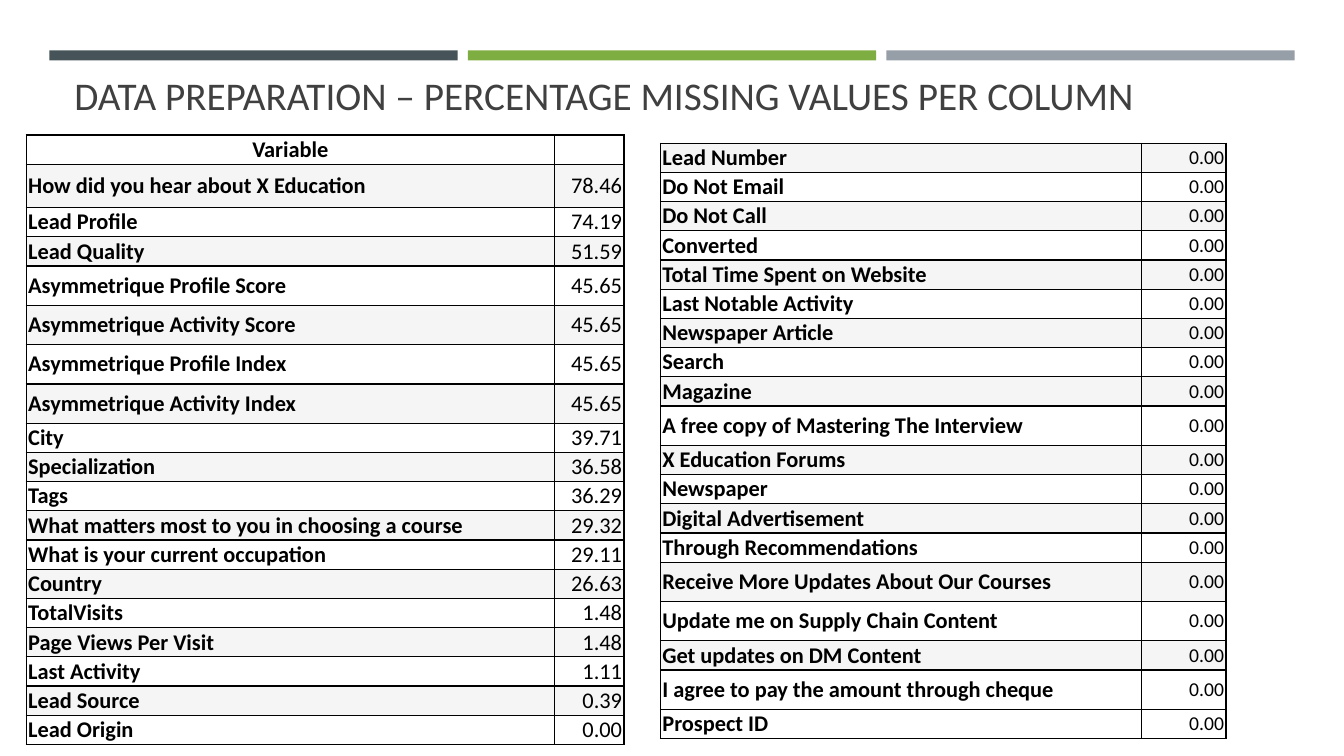
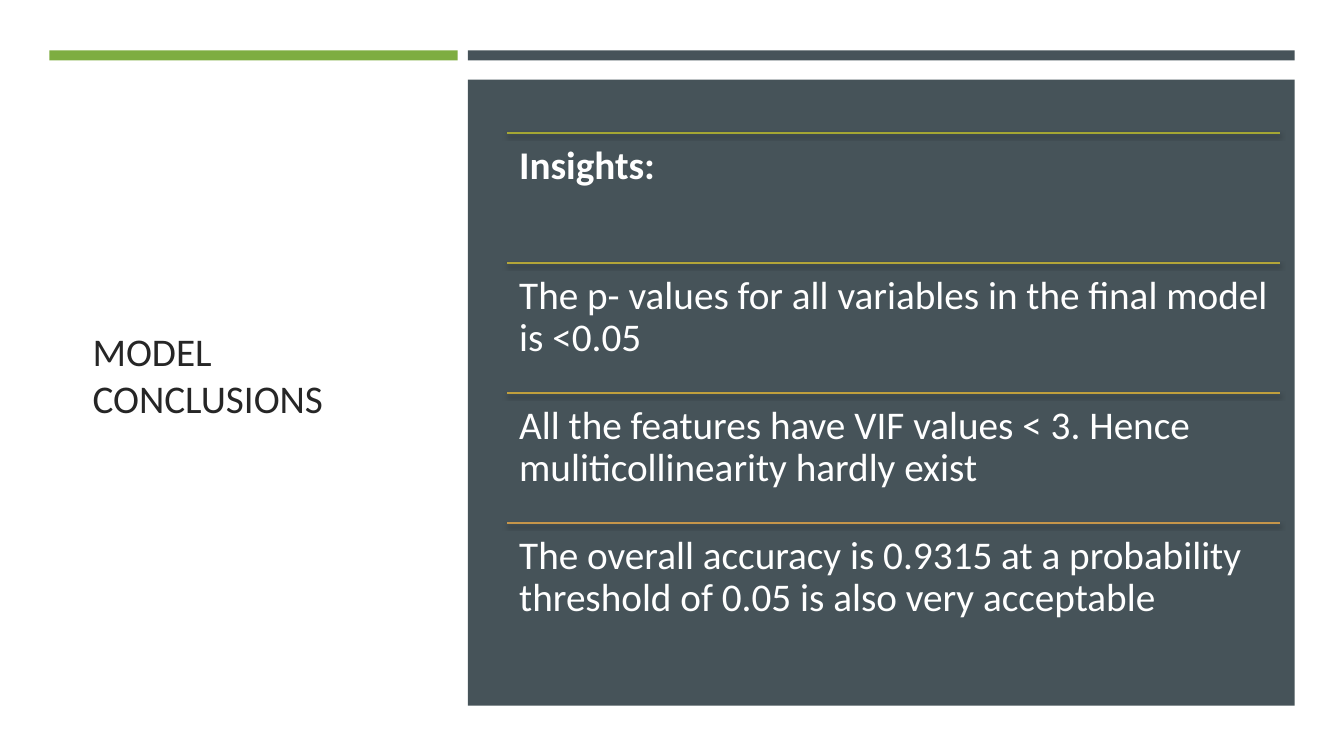
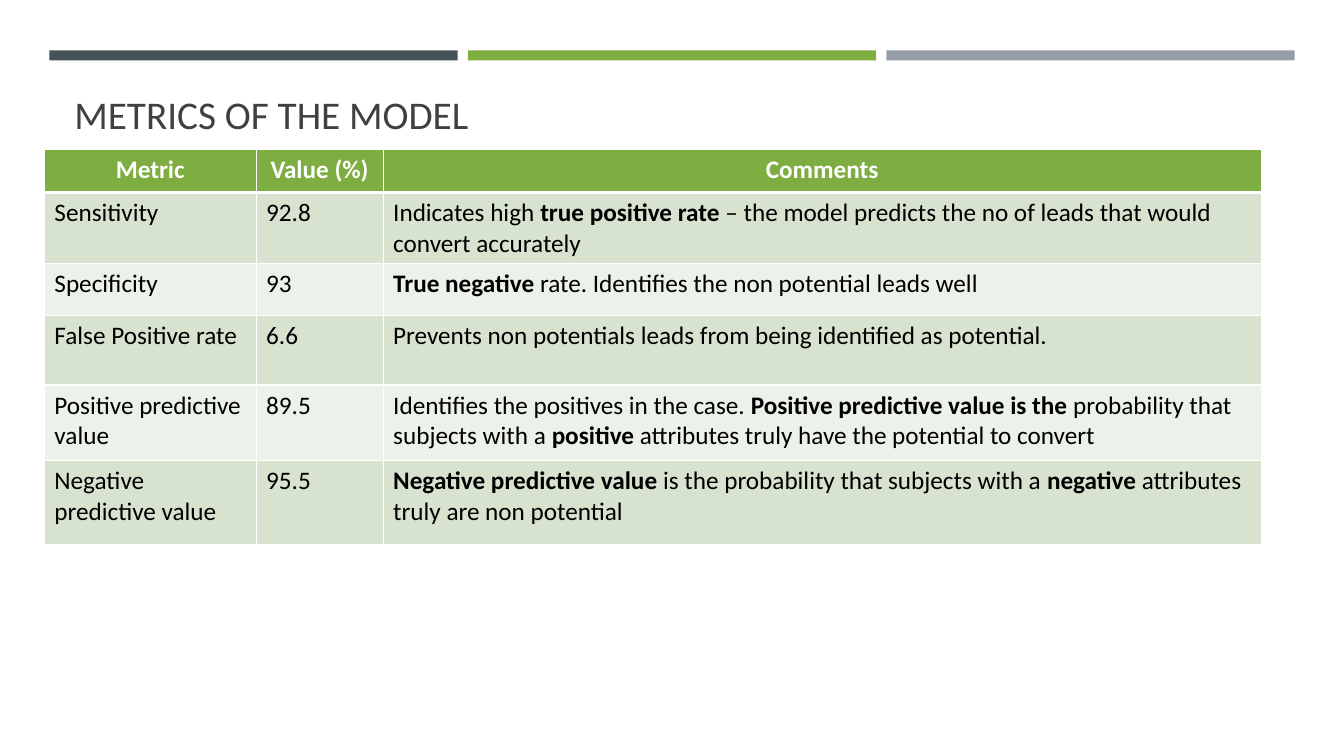
from dataclasses import dataclass
from typing import Sequence

from lxml import etree
from pptx import Presentation
from pptx.dml.color import RGBColor
from pptx.enum.shapes import MSO_CONNECTOR, MSO_SHAPE
from pptx.enum.text import MSO_ANCHOR, PP_ALIGN
from pptx.oxml.ns import qn
from pptx.util import Inches, Pt

LEFT, MID, RIGHT = PP_ALIGN.LEFT, PP_ALIGN.CENTER, PP_ALIGN.RIGHT
TOP, CENTER, BASE = MSO_ANCHOR.TOP, MSO_ANCHOR.MIDDLE, MSO_ANCHOR.BOTTOM
RECT, STRAIGHT = MSO_SHAPE.RECTANGLE, MSO_CONNECTOR.STRAIGHT

FONT = "Calibri"
HUES = {
    "slate": "465359", "green": "7EAD41", "gray": "969FA7",
    "white": "FFFFFF", "black": "000000", "title": "404040", "dark": "262626",
    "stripe": "F5F5F5", "sage": "D8E3CF", "mist": "ECF1E9",
}
RULES = ("A4A634", "B3A539", "C09F3D", "C5954A")

# Three-column grid shared by all slides
EDGE, COL, GAP = 0.49, 4.05, 0.1
BAR_Y, BAR_H = 0.5, 0.1


@dataclass(frozen=True)
class Box:
    x: float
    y: float
    w: float
    h: float

    def emu(self) -> list[int]:
        return [Inches(v) for v in (self.x, self.y, self.w, self.h)]


@dataclass(frozen=True)
class Style:
    size: float
    hue: str = "black"
    align: PP_ALIGN = LEFT
    anchor: MSO_ANCHOR = TOP
    pad: tuple[float, float] = (0.1, 0.05)
    space: float = 1.0


@dataclass(frozen=True)
class Cell:
    text: str
    style: Style
    fill: str = ""
    top: float = 1
    base: float = 1


def span(first: int, count: int, y: float, h: float) -> Box:
    """Box covering some columns of the grid."""
    step = COL + GAP
    return Box(EDGE + first * step, y, count * step - GAP, h)


def rgb(code: str) -> RGBColor:
    return RGBColor.from_string(code)


def write(frame, text: str, style: Style) -> None:
    """Fill a text frame; parts between asterisks are bold."""
    frame.word_wrap = True
    para = frame.paragraphs[0]
    para.alignment, para.line_spacing = style.align, style.space
    for i, part in enumerate(text.split("*")):
        if part:
            run = para.add_run()
            run.text = part
            font = run.font
            font.name, font.size, font.bold = FONT, Pt(style.size), i % 2 == 1
            font.color.rgb = rgb(HUES[style.hue])
    if not text:
        end = etree.SubElement(para._p, qn("a:endParaRPr"))
        end.set("sz", str(int(style.size * 100)))


def pad(host, style: Style) -> None:
    host.margin_left = host.margin_right = Inches(style.pad[0])
    host.margin_top = host.margin_bottom = Inches(style.pad[1])
    host.vertical_anchor = style.anchor


def label(slide, box: Box, text: str, style: Style) -> None:
    frame = slide.shapes.add_textbox(*box.emu()).text_frame
    pad(frame, style)
    write(frame, text, style)


def block(slide, box: Box, hue: str) -> None:
    shape = slide.shapes.add_shape(RECT, *box.emu())
    shape.shadow.inherit = False
    shape.fill.solid()
    shape.fill.fore_color.rgb = rgb(HUES[hue])
    shape.line.fill.background()


def rule(slide, x: float, y: float, w: float, code: str) -> None:
    """Thin line with a soft shadow below it."""
    line = slide.shapes.add_connector(
        STRAIGHT, Inches(x), Inches(y), Inches(x + w), Inches(y))
    line.line.color.rgb = rgb(code)
    line.line.width = Pt(1)
    effect = etree.SubElement(line._element.spPr, qn("a:effectLst"))
    shade = etree.SubElement(
        effect, qn("a:outerShdw"), blurRad=str(Pt(3)), dist=str(Pt(2)),
        dir="5400000", algn="ctr", rotWithShape="0")
    tint = etree.SubElement(shade, qn("a:srgbClr"), val=HUES["black"])
    etree.SubElement(tint, qn("a:alpha"), val="55000")


def border(cell, hue: str, top: float, base: float) -> None:
    props = cell._tc.get_or_add_tcPr()
    for side, width in zip("LRTB", (1, 1, top, base)):
        line = etree.SubElement(props, qn(f"a:ln{side}"), w=str(Pt(width)))
        fill = etree.SubElement(line, qn("a:solidFill"))
        etree.SubElement(fill, qn("a:srgbClr"), val=HUES[hue])


def grid(slide, x: float, y: float, cols: Sequence[float],
         rows: Sequence[float], cells: Sequence[Sequence[Cell]],
         edge: str) -> None:
    box = Box(x, y, sum(cols), sum(rows))
    table = slide.shapes.add_table(len(rows), len(cols), *box.emu()).table
    table.first_row = table.horz_banding = False
    for col, width in zip(table.columns, cols):
        col.width = Inches(width)
    for r, (height, line) in enumerate(zip(rows, cells)):
        table.rows[r].height = Inches(height)
        for c, item in enumerate(line):
            cell = table.cell(r, c)
            pad(cell, item.style)
            write(cell.text_frame, item.text, item.style)
            border(cell, edge, item.top, item.base)
            if item.fill:
                cell.fill.solid()
                cell.fill.fore_color.rgb = rgb(HUES[item.fill])
            else:
                cell.fill.background()


def start(deck, bars: Sequence[tuple[int, int, str]]):
    """Blank slide with its top bars."""
    slide = deck.slides.add_slide(deck.slide_layouts[6])
    for first, count, hue in bars:
        block(slide, span(first, count, BAR_Y, BAR_H), hue)
    return slide


TRIO = ((0, 1, "slate"), (1, 1, "green"), (2, 1, "gray"))
DUO = ((0, 1, "green"), (1, 2, "slate"))
HEAD = Style(28, "title", anchor=BASE)

# Missing values: name, share and, for taller rows, height
LOW, TALL = 0.29, 0.39
MISSING = (
    ("How did you hear about X Education", "78.46", 0.43),
    ("Lead Profile", "74.19", LOW),
    ("Lead Quality", "51.59", LOW),
    ("Asymmetrique Profile Score", "45.65", TALL),
    ("Asymmetrique Activity Score", "45.65", TALL),
    ("Asymmetrique Profile Index", "45.65", TALL),
    ("Asymmetrique Activity Index", "45.65", TALL),
    ("City", "39.71", LOW),
    ("Specialization", "36.58", LOW),
    ("Tags", "36.29", LOW),
    ("What matters most to you in choosing a course", "29.32", LOW),
    ("What is your current occupation", "29.11", LOW),
    ("Country", "26.63", LOW),
    ("TotalVisits", "1.48", LOW),
    ("Page Views Per Visit", "1.48", LOW),
    ("Last Activity", "1.11", LOW),
    ("Lead Source", "0.39", LOW),
    ("Lead Origin", "0.00", LOW),
)
FULL = (
    "Lead Number", "Do Not Email", "Do Not Call", "Converted",
    "Total Time Spent on Website", "Last Notable Activity",
    "Newspaper Article", "Search", "Magazine",
    "A free copy of Mastering The Interview", "X Education Forums",
    "Newspaper", "Digital Advertisement", "Through Recommendations",
    "Receive More Updates About Our Courses",
    "Update me on Supply Chain Content", "Get updates on DM Content",
    "I agree to pay the amount through cheque", "Prospect ID",
)
HIGH = (9, 14, 15, 17)

INSIGHTS = (
    "*Insights:*",
    "The p- values for all variables in the final model is <0.05",
    "All the features have VIF values < 3. Hence muliticollinearity hardly exist",
    "The overall accuracy is 0.9315 at a probability threshold of 0.05 "
    "is also very acceptable",
)

METRICS = (
    ("Sensitivity", "92.8",
     "Indicates high *true positive rate *– the model predicts the no of "
     "leads that would convert accurately"),
    ("Specificity", "93",
     "*True negative* rate. Identifies the non potential leads well"),
    ("False Positive rate", "6.6",
     "Prevents non potentials leads from being identified as potential."),
    ("Positive predictive value", "89.5",
     "Identifies the positives in the case. *Positive predictive value is "
     "the* probability that subjects with a *positive* attributes truly "
     "have the potential to convert"),
    ("Negative predictive value", "95.5",
     "*Negative predictive value* is the probability that subjects with a "
     "*negative* attributes truly are non potential"),
)


def missing(deck) -> None:
    slide = start(deck, TRIO)
    label(slide, Box(0.64, 0.54, 12.06, 0.68),
          "DATA PREPARATION – PERCENTAGE MISSING VALUES PER COLUMN", HEAD)
    tight = (0.02, 0.01)
    name = Style(16, anchor=CENTER, pad=tight)
    head = Style(16, align=MID, anchor=CENTER, pad=tight)
    big = Style(16, align=RIGHT, anchor=CENTER, pad=tight)
    small = Style(14, align=RIGHT, anchor=CENTER, pad=tight)

    def pair(text: str, value: str, style: Style, fill: str) -> list[Cell]:
        return [Cell(f"*{text}*", name, fill), Cell(value, style, fill)]

    # Left: columns with gaps
    cells = [[Cell("*Variable*", head), Cell("", big)]]
    cells += [pair(text, value, big, "" if i % 2 else "stripe")
              for i, (text, value, _) in enumerate(MISSING)]
    rows = [LOW] + [height for _, _, height in MISSING]
    grid(slide, 0.26, 1.34, (5.24, 0.69), rows, cells, "black")

    # Right: complete columns; the last row stays plain
    last = len(FULL) - 1
    cells = [pair(text, "0.00", small,
                  "" if i % 2 or i == last else "stripe")
             for i, text in enumerate(FULL)]
    rows = [TALL if i in HIGH else LOW for i in range(len(FULL))]
    grid(slide, 6.55, 1.42, (4.77, 0.84), rows, cells, "black")


def insights(deck) -> None:
    slide = start(deck, DUO)
    label(slide, Box(0.82, 1.14, 3.34, 5.15), "MODEL CONCLUSIONS",
          Style(28, "dark", anchor=CENTER))
    block(slide, span(1, 2, 0.79, 6.21), "slate")
    body = Style(28, "white", pad=(0.12, 0.12), space=0.9)
    x, y, w, step = 5.03, 1.32, 7.67, 1.29
    for i, (text, code) in enumerate(zip(INSIGHTS, RULES)):
        rule(slide, x, y + i * step, w, code)
        label(slide, Box(x, y + i * step, w, step), text, body)


def metrics(deck) -> None:
    slide = start(deck, TRIO)
    label(slide, Box(0.64, 0.77, 12.06, 0.64), "METRICS OF THE MODEL", HEAD)
    head, body = Style(18, "white", MID), Style(18)
    cells = [[Cell(f"*{text}*", head, "green", base=3)
              for text in ("Metric", "Value (%)", "Comments")]]
    for i, line in enumerate(METRICS):
        fill = "mist" if i % 2 else "sage"
        cells.append([Cell(text, body, fill, top=1 if i else 3)
                      for text in line])
    grid(slide, 0.44, 1.48, (2.1, 1.26, 8.71),
         (0.43, 0.7, 0.52, 0.69, 0.75, 0.83), cells, "white")


def main() -> None:
    deck = Presentation()
    deck.slide_width, deck.slide_height = Inches(13.33), Inches(7.5)
    for build in (missing, insights, metrics):
        build(deck)
    deck.save("out.pptx")


if __name__ == "__main__":
    main()
